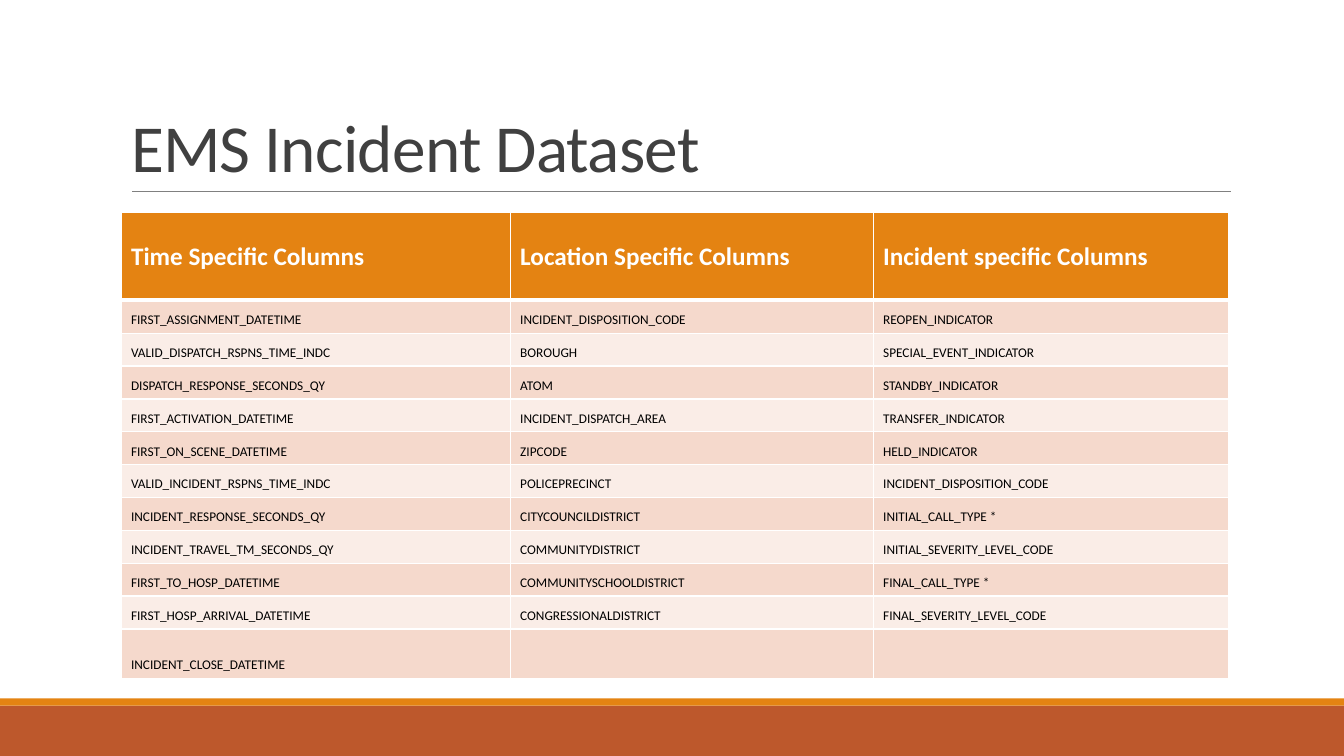
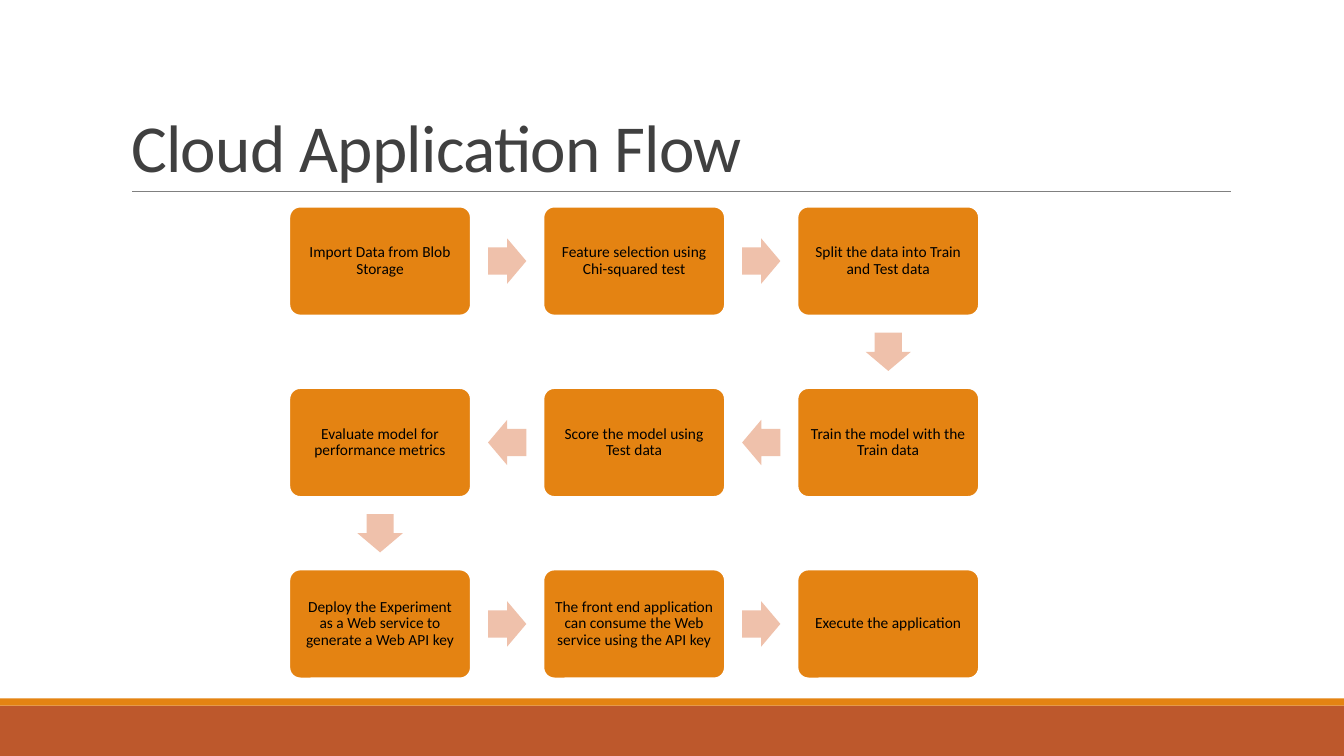
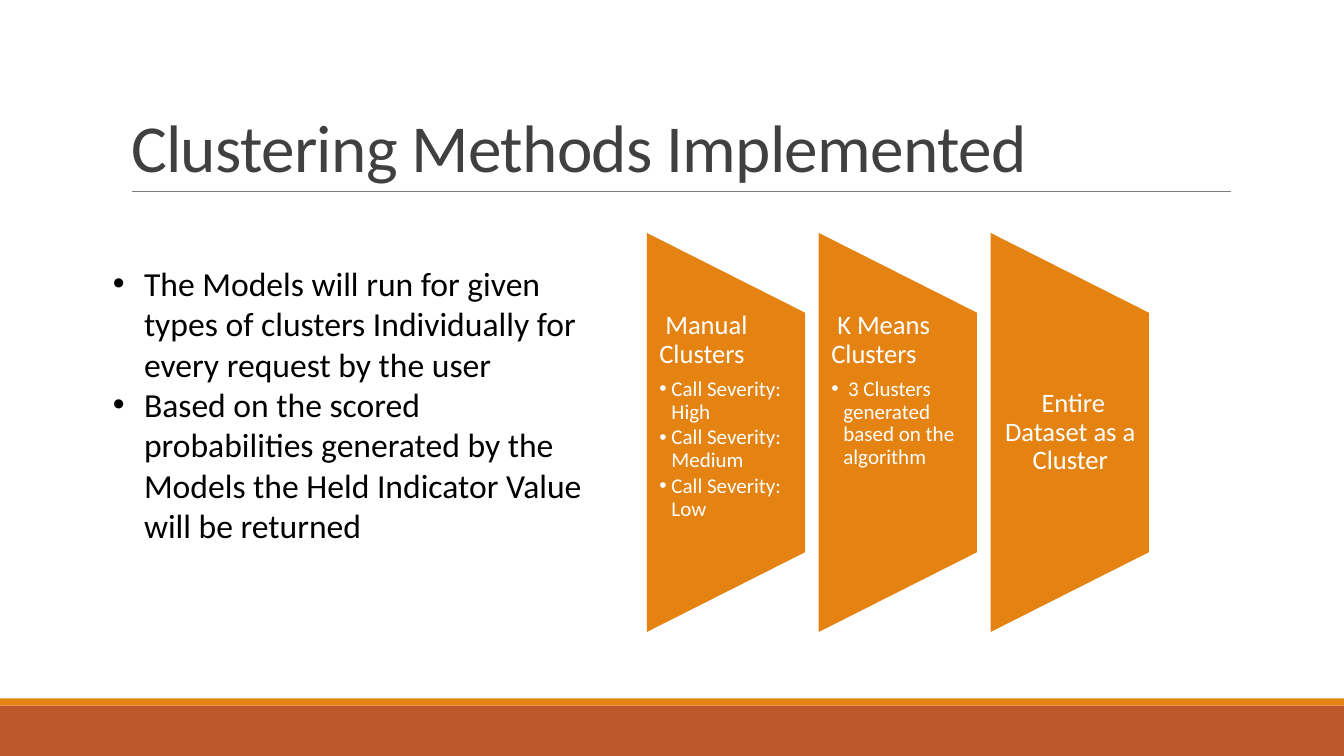
from pptx import Presentation
from pptx.dml.color import RGBColor
from pptx.enum.shapes import MSO_CONNECTOR as Conn, MSO_SHAPE as Geo
from pptx.enum.text import MSO_ANCHOR as Anchor, MSO_AUTO_SIZE as Fit, PP_ALIGN as Align
from pptx.oxml.ns import qn
from pptx.util import Inches, Pt
from lxml.etree import SubElement as Sub

WIDE, HIGH = 13.33, 7.5
FONT = "Calibri"
ORANGE, RUST, PEACH = "E48312", "BD582C", "EFC1AB"
WHITE, BLACK, DARK, GREY = "FFFFFF", "000000", "404040", "808080"
STRIPES = "F5D9CC", "FAEDE7"

HEADS = ["Time Specific Columns", "Location Specific Columns", "Incident specific Columns"]
ROWS = [
    ("FIRST_ASSIGNMENT_DATETIME", "INCIDENT_DISPOSITION_CODE", "REOPEN_INDICATOR"),
    ("VALID_DISPATCH_RSPNS_TIME_INDC", "BOROUGH", "SPECIAL_EVENT_INDICATOR"),
    ("DISPATCH_RESPONSE_SECONDS_QY", "ATOM", "STANDBY_INDICATOR"),
    ("FIRST_ACTIVATION_DATETIME", "INCIDENT_DISPATCH_AREA", "TRANSFER_INDICATOR"),
    ("FIRST_ON_SCENE_DATETIME", "ZIPCODE", "HELD_INDICATOR"),
    ("VALID_INCIDENT_RSPNS_TIME_INDC", "POLICEPRECINCT", "INCIDENT_DISPOSITION_CODE"),
    ("INCIDENT_RESPONSE_SECONDS_QY", "CITYCOUNCILDISTRICT", "INITIAL_CALL_TYPE *"),
    ("INCIDENT_TRAVEL_TM_SECONDS_QY", "COMMUNITYDISTRICT", "INITIAL_SEVERITY_LEVEL_CODE"),
    ("FIRST_TO_HOSP_DATETIME", "COMMUNITYSCHOOLDISTRICT", "FINAL_CALL_TYPE *"),
    ("FIRST_HOSP_ARRIVAL_DATETIME", "CONGRESSIONALDISTRICT", "FINAL_SEVERITY_LEVEL_CODE"),
    ("INCIDENT_CLOSE_DATETIME", "", ""),
]
COLS = [3.86, 3.6, 3.53]
TALL = [0.87] + [0.326] * 10 + [0.49]

STEPS = [
    ("Import Data from Blob Storage", 0, 0),
    ("Feature selection using Chi-squared test", 1, 0),
    ("Split the data into Train and Test data", 2, 0),
    ("Train the model with the Train data", 2, 1),
    ("Score the model using Test data", 1, 1),
    ("Evaluate model for performance metrics", 0, 1),
    ("Deploy the Experiment as a Web service to generate a Web API key", 0, 2),
    ("The front end application can consume the Web service using the API key", 1, 2),
    ("Execute the application", 2, 2),
]
TURNS = {(1, 0): 0, (0, 1): 90, (-1, 0): 180}

POINTS = [
    "The Models will run for given types of clusters Individually for every request by the user",
    "Based on the scored probabilities generated by the Models the Held Indicator Value will be returned",
]
GROUPS = [
    (" Manual Clusters", ["Call Severity: High", "Call Severity: Medium", "Call Severity: Low"]),
    (" K Means Clusters", [" 3 Clusters generated based on the algorithm"]),
    (" Entire Dataset as a Cluster", []),
]


def tint(code):
    return RGBColor.from_string(code)


def write(para, text, size, color, bold=False, align=Align.LEFT, lead=1, after=0):
    para.alignment, para.line_spacing = align, lead
    para.space_before, para.space_after = Pt(0), Pt(after)
    run = para.add_run()
    run.text = text
    font = run.font
    font.name, font.size, font.bold = FONT, Pt(size), bold
    font.color.rgb = tint(color)
    return run


def bullet(para, hang):
    props = para._p.get_or_add_pPr()
    props.set("marL", str(Inches(hang)))
    props.set("indent", str(-Inches(hang)))
    Sub(props, qn("a:buFont")).set("typeface", "Arial")
    Sub(props, qn("a:buChar")).set("char", "•")


def frame(shape, anchor, side, edge):
    body = shape.text_frame
    body.word_wrap, body.vertical_anchor = True, anchor
    body.margin_left = body.margin_right = Inches(side)
    body.margin_top = body.margin_bottom = Inches(edge)
    return body


def draw(slide, geo, box, fill, line=None):
    shape = slide.shapes.add_shape(geo, *map(Inches, box))
    shape.shadow.inherit = False
    shape.fill.solid()
    shape.fill.fore_color.rgb = tint(fill)
    if line:
        shape.line.color.rgb = tint(line)
        shape.line.width = Pt(1.25)
    else:
        shape.line.fill.background()
    return shape


def start(deck, name):
    slide = deck.slides.add_slide(deck.slide_layouts[5])
    draw(slide, Geo.RECTANGLE, (0, 7, WIDE, 0.5), RUST)
    draw(slide, Geo.RECTANGLE, (0, 6.93, WIDE, 0.07), ORANGE)
    rule = slide.shapes.add_connector(Conn.STRAIGHT, *map(Inches, (1.31, 1.9, 12.21, 1.9)))
    rule.line.color.rgb, rule.line.width = tint(GREY), Pt(0.5)
    Sub(rule._element.spPr, qn("a:effectLst"))
    title = slide.shapes.title
    title.left, title.top, title.width, title.height = map(Inches, (1.2, 0.31, 11, 1.59))
    body = frame(title, Anchor.BOTTOM, 0.1, 0.05)
    body.auto_size = Fit.NONE
    run = write(body.paragraphs[0], name, 48, DARK, lead=0.85)
    run.font._element.set("spc", "-50")
    return slide


def border(cell, row):
    props = cell._tc.get_or_add_tcPr()
    wide = {"lnT": 3 if row == 1 else 1, "lnB": 3 if row == 0 else 1}
    for side in ("lnL", "lnR", "lnT", "lnB"):
        line = Sub(props, qn("a:" + side))
        line.set("w", str(Pt(wide.get(side, 1))))
        Sub(Sub(line, qn("a:solidFill")), qn("a:srgbClr")).set("val", WHITE)


def columns(deck):
    slide = start(deck, "EMS Incident Dataset")
    box = map(Inches, (1.2, 2.11, sum(COLS), sum(TALL)))
    table = slide.shapes.add_table(len(TALL), len(COLS), *box).table
    for col, width in zip(table.columns, COLS):
        col.width = Inches(width)
    for row, height in zip(table.rows, TALL):
        row.height = Inches(height)
    for r, texts in enumerate([HEADS] + ROWS):
        for c, text in enumerate(texts):
            cell = table.cell(r, c)
            border(cell, r)
            cell.fill.solid()
            cell.fill.fore_color.rgb = tint(STRIPES[(r - 1) % 2] if r else ORANGE)
            cell.vertical_anchor = Anchor.BOTTOM if r else Anchor.MIDDLE
            if text:
                size, color = (9.5, BLACK) if r else (18, WHITE)
                write(cell.text_frame.paragraphs[0], text, size, color, bold=r == 0)


def flow(deck):
    slide = start(deck, "Cloud Application Flow")
    wide, high, long, thick = 1.8, 1.08, 0.38, 0.45
    spots = [(3.77 + 2.52 * c, 2.59 + 1.8 * r) for _, c, r in STEPS]
    for (text, _, _), (x, y) in zip(STEPS, spots):
        step = draw(slide, Geo.ROUNDED_RECTANGLE, (x - wide / 2, y - high / 2, wide, high), ORANGE, WHITE)
        step.adjustments[0] = 0.1
        body = frame(step, Anchor.MIDDLE, 0.08, 0.08)
        write(body.paragraphs[0], text, 11, BLACK, align=Align.CENTER, lead=0.9)
    for i, (_, c, r) in enumerate(STEPS[1:]):
        _, c0, r0 = STEPS[i]
        x, y = [(a + b) / 2 for a, b in zip(spots[i], spots[i + 1])]
        arrow = draw(slide, Geo.RIGHT_ARROW, (x - long / 2, y - thick / 2, long, thick), PEACH)
        arrow.adjustments[0] = 0.6
        arrow.rotation = TURNS[c - c0, r - r0]


def clusters(deck):
    slide = start(deck, "Clustering Methods Implemented")
    long, wide, high, mid = 3.96, 1.57, 2.4, 4.29
    for i, (head, items) in enumerate(GROUPS):
        x = 7.2 + 1.705 * i
        panel = draw(slide, Geo.FLOWCHART_MANUAL_OPERATION, (x - long / 2, mid - wide / 2, long, wide), ORANGE)
        panel.rotation = 270
        label = slide.shapes.add_textbox(*map(Inches, (x - 0.79, mid - high / 2, 1.59, high)))
        body = frame(label, Anchor.TOP if items else Anchor.MIDDLE, 0.13, 0)
        write(body.paragraphs[0], head, 19, WHITE, lead=0.9, after=6.65 if items else 0,
              align=Align.LEFT if items else Align.CENTER)
        for item in items:
            para = body.add_paragraph()
            write(para, item, 15, WHITE, lead=0.9, after=2.25)
            bullet(para, 0.12)
    notes = slide.shapes.add_textbox(*map(Inches, (1.02, 2.56, 4.95, 3.74)))
    body = frame(notes, Anchor.TOP, 0.1, 0.05)
    for i, point in enumerate(POINTS):
        para = body.add_paragraph() if i else body.paragraphs[0]
        write(para, point, 24, BLACK)
        bullet(para, 0.31)


def main():
    deck = Presentation()
    deck.slide_width, deck.slide_height = Inches(WIDE), Inches(HIGH)
    for build in (columns, flow, clusters):
        build(deck)
    deck.save("out.pptx")


if __name__ == "__main__":
    main()
